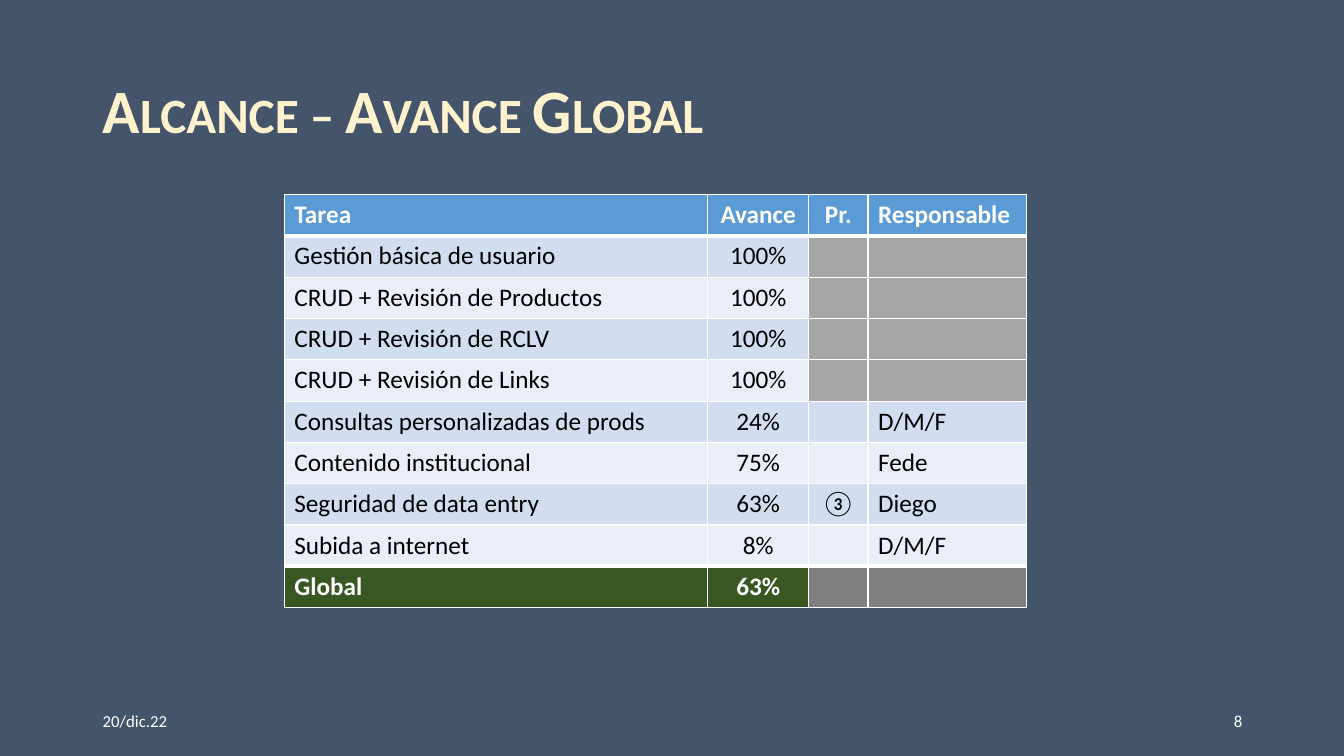
from lxml import etree
from pptx import Presentation
from pptx.dml.color import RGBColor
from pptx.enum.text import MSO_ANCHOR, MSO_AUTO_SIZE, PP_ALIGN
from pptx.oxml.ns import qn
from pptx.util import Inches, Pt

LEFT, CENTER, RIGHT = PP_ALIGN.LEFT, PP_ALIGN.CENTER, PP_ALIGN.RIGHT
MIDDLE = MSO_ANCHOR.MIDDLE
GROW = MSO_AUTO_SIZE.SHAPE_TO_FIT_TEXT

SLATE = RGBColor(0x44, 0x54, 0x6A)
CREAM = RGBColor(0xFF, 0xF2, 0xCC)
WHITE = RGBColor(0xFF, 0xFF, 0xFF)
BLACK = RGBColor(0x00, 0x00, 0x00)
BLUE = RGBColor(0x5B, 0x9B, 0xD5)
BANDS = RGBColor(0xD2, 0xDE, 0xEF), RGBColor(0xEA, 0xEF, 0xF7)
GREEN = RGBColor(0x38, 0x57, 0x23)
SILVER = RGBColor(0xA6, 0xA6, 0xA6)
GRAY = RGBColor(0x80, 0x80, 0x80)

COLS = [(4.2, LEFT), (1, CENTER), (0.59, CENTER), (1.57, LEFT)]
HIGH = 0.41
ROWS = [
    ("Tarea", "Avance", "Pr.", "Responsable"),
    ("Gestión básica de usuario", "100%", "", ""),
    ("CRUD + Revisión de Productos", "100%", "", ""),
    ("CRUD + Revisión de RCLV", "100%", "", ""),
    ("CRUD + Revisión de Links", "100%", "", ""),
    ("Consultas personalizadas de prods", "24%", "", "D/M/F"),
    ("Contenido institucional", "75%", "", "Fede"),
    ("Seguridad de data entry", "63%", "③", "Diego"),
    ("Subida a internet", "8%", "", "D/M/F"),
    ("Global", "63%", "", ""),
]
LAST = len(ROWS) - 1


def shade(row, col):
    """Fill of a cell: header, total, finished task or band."""
    if row == 0:
        return BLUE
    if row == LAST:
        return GREEN if col < 2 else GRAY
    if col > 1 and ROWS[row][1] == "100%":
        return SILVER
    return BANDS[(row - 1) % 2]


class Page:
    face = "Calibri"

    def __init__(self, deck):
        self.slide = deck.slides.add_slide(deck.slide_layouts[5])
        fill = self.slide.background.fill
        fill.solid()
        fill.fore_color.rgb = SLATE

    def text(self, frame, words, size, color, bold=False, align=LEFT):
        para = frame.paragraphs[0]
        para.text = words
        para.alignment = align
        font = para.font
        font.name, font.size, font.bold = self.face, Pt(size), bold
        font.color.rgb = color
        return para

    def title(self, words, *box):
        shape = self.slide.shapes.title
        shape.left, shape.top, shape.width, shape.height = map(Inches, box)
        frame = shape.text_frame
        frame.word_wrap = True
        frame.auto_size = GROW
        frame.vertical_anchor = MIDDLE
        para = self.text(frame, words, 44, CREAM, True)
        para.line_spacing = 0.9
        para.runs[0].font._element.set("cap", "small")

    def label(self, words, left, align):
        box = self.slide.shapes.add_textbox(
            Inches(left), Inches(6.95), Inches(3), Inches(0.4))
        frame = box.text_frame
        frame.word_wrap = True
        frame.vertical_anchor = MIDDLE
        self.text(frame, words, 12, WHITE, align=align)

    def edge(self, cell, side, width):
        line = etree.SubElement(cell._tc.get_or_add_tcPr(), qn("a:" + side),
                                w=str(Pt(width)))
        fill = etree.SubElement(line, qn("a:solidFill"))
        etree.SubElement(fill, qn("a:srgbClr"), val=str(WHITE))

    def table(self, left, top):
        wide = sum(width for width, _ in COLS)
        grid = self.slide.shapes.add_table(
            len(ROWS), len(COLS), Inches(left), Inches(top),
            Inches(wide), Inches(HIGH * len(ROWS))).table
        for col, (width, _) in zip(grid.columns, COLS):
            col.width = Inches(width)
        for r, row in enumerate(ROWS):
            grid.rows[r].height = Inches(HIGH)
            for c, words in enumerate(row):
                self.cell(grid.cell(r, c), r, c, words)

    def cell(self, cell, r, c, words):
        # Heavy rules lie below the header and above the total
        self.edge(cell, "lnL", 1)
        self.edge(cell, "lnR", 1)
        self.edge(cell, "lnT", 3 if r in (1, LAST) else 1)
        self.edge(cell, "lnB", 3 if r in (0, LAST - 1) else 1)
        cell.fill.solid()
        cell.fill.fore_color.rgb = shade(r, c)
        strong = r in (0, LAST)
        self.text(cell.text_frame, words, 18, WHITE if strong else BLACK,
                  strong, COLS[c][1])


def main():
    deck = Presentation()
    deck.slide_width, deck.slide_height = Inches(13.33), Inches(7.5)
    page = Page(deck)

    # Heading
    page.title("Alcance – Avance Global", 0.92, 0.74, 11.5, 0.77)

    # Progress by task
    page.table(2.82, 1.93)

    # Footer
    page.label("20/dic.22", 0.92, LEFT)
    page.label("8", 9.42, RIGHT)

    deck.save("out.pptx")


if __name__ == "__main__":
    main()
